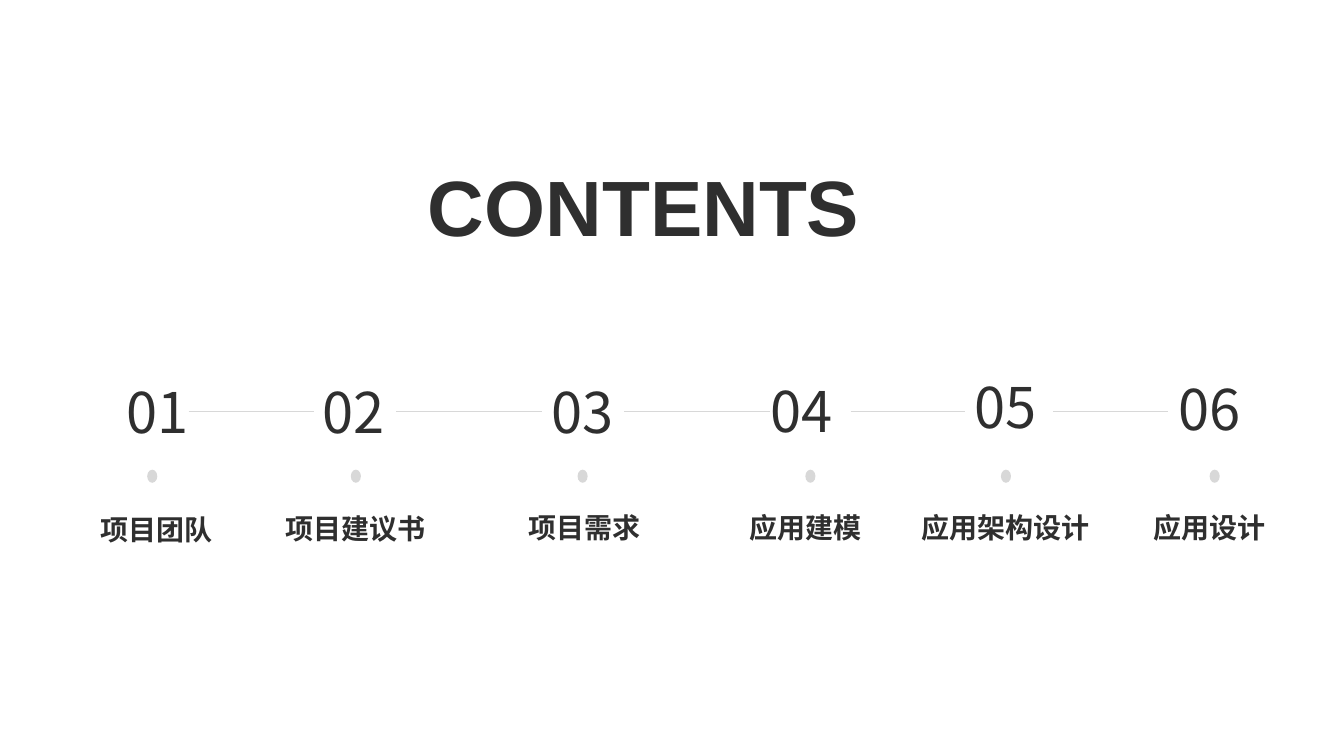
from typing import NamedTuple

from lxml import etree
from pptx import Presentation
from pptx.dml.color import RGBColor
from pptx.enum.shapes import MSO_CONNECTOR, MSO_SHAPE
from pptx.enum.text import MSO_ANCHOR, MSO_AUTO_SIZE, PP_ALIGN
from pptx.oxml.ns import qn
from pptx.util import Inches, Pt

STRAIGHT = MSO_CONNECTOR.STRAIGHT
OVAL = MSO_SHAPE.OVAL
TOP = MSO_ANCHOR.TOP
FIT_SHAPE = MSO_AUTO_SIZE.SHAPE_TO_FIT_TEXT
CENTER = PP_ALIGN.CENTER

INK = RGBColor(0x2F, 0x2F, 0x2F)
PALE = RGBColor(0xD8, 0xD8, 0xD8)
HEADING_FONT = "Arial"
NUMBER_FONT = "Noto Sans CJK SC"

# The slide is a grid of 100 columns by 100 rows.
SLIDE_WIDTH, SLIDE_HEIGHT = Inches(13.33), Inches(7.5)
NUMBER_HEIGHT, LABEL_HEIGHT = 10.27, 5.87
DOT_TOP, DOT_WIDTH, DOT_HEIGHT = 62.13, 0.75, 1.73
LINE_ROW = 54.4


class Place(NamedTuple):
    center: float
    top: float
    width: float


class Chapter(NamedTuple):
    label: str
    number_place: Place
    dot_center: float
    label_place: Place


CHAPTERS = [
    Chapter("项目团队", Place(11.7, 49.33, 8.85), 11.33, Place(11.63, 67.2, 13.8)),
    Chapter("项目建议书", Place(26.29, 49.33, 7.28), 26.48, Place(26.48, 67.07, 16.8)),
    Chapter("项目需求", Place(43.31, 49.33, 7.28), 43.35, Place(43.5, 66.93, 16.8)),
    Chapter("应用建模", Place(59.63, 49.2, 6.75), 60.3, Place(59.93, 66.93, 16.8)),
    Chapter("应用架构设计", Place(74.85, 48.67, 6.75), 74.85, Place(74.81, 66.93, 14.63)),
    Chapter("应用设计", Place(90, 48.93, 6.6), 90.38, Place(90, 66.93, 13.05)),
]
LINE_SPANS = [(14.03, 23.4), (29.48, 40.35), (46.43, 57.3), (63.3, 71.78), (78.38, 86.93)]


def col(columns):
    return round(SLIDE_WIDTH * columns / 100)


def row(rows):
    return round(SLIDE_HEIGHT * rows / 100)


def box(place, height):
    """Left, top, width and height of a box centred on its column."""
    return (col(place.center - place.width / 2), row(place.top),
            col(place.width), row(height))


def write(shape, text, *, size, font=HEADING_FONT, bold=False):
    frame = shape.text_frame
    frame.word_wrap = True
    frame.auto_size = FIT_SHAPE
    frame.vertical_anchor = TOP
    paragraph = frame.paragraphs[0]
    paragraph.alignment = CENTER
    run = paragraph.add_run()
    run.text = text
    run.font.name = font
    run.font.size = Pt(size)
    run.font.bold = bold
    run.font.color.rgb = INK


def add_heading(slide, text, place, height):
    title = slide.shapes.title
    title.left, title.top, title.width, title.height = box(place, height)
    write(title, text, size=56, bold=True)


def add_dot(slide, center):
    place = Place(center, DOT_TOP, DOT_WIDTH)
    dot = slide.shapes.add_shape(OVAL, *box(place, DOT_HEIGHT))
    dot.shadow.inherit = False
    dot.fill.solid()
    dot.fill.fore_color.rgb = PALE
    dot.line.fill.background()


def add_line(slide, start, end):
    line = slide.shapes.add_connector(
        STRAIGHT, col(start), row(LINE_ROW), col(end), row(LINE_ROW))
    line.line.color.rgb = PALE
    line.line.width = Pt(0.5)
    etree.SubElement(line._element.spPr, qn("a:effectLst"))


def add_chapter(slide, index, chapter):
    number = slide.shapes.add_textbox(*box(chapter.number_place, NUMBER_HEIGHT))
    write(number, f"{index:02d}", size=40, font=NUMBER_FONT)
    add_dot(slide, chapter.dot_center)
    label = slide.shapes.add_textbox(*box(chapter.label_place, LABEL_HEIGHT))
    write(label, chapter.label, size=20, bold=True)


def main():
    deck = Presentation()
    deck.slide_width, deck.slide_height = SLIDE_WIDTH, SLIDE_HEIGHT
    title_only = deck.slide_layouts[5]
    slide = deck.slides.add_slide(title_only)
    add_heading(slide, "CONTENTS", Place(47.9, 20.27, 49.73), 13.87)
    for start, end in LINE_SPANS:
        add_line(slide, start, end)
    for index, chapter in enumerate(CHAPTERS, start=1):
        add_chapter(slide, index, chapter)
    deck.save("out.pptx")


if __name__ == "__main__":
    main()
